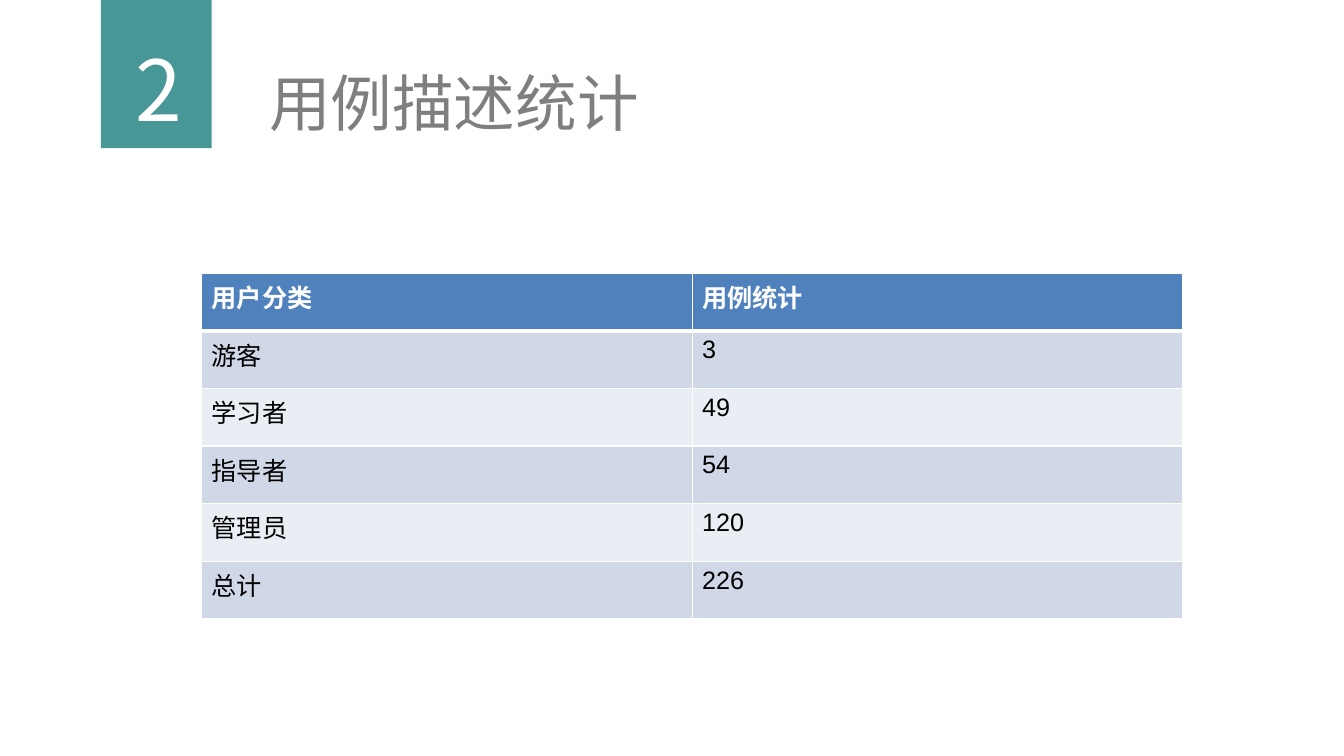
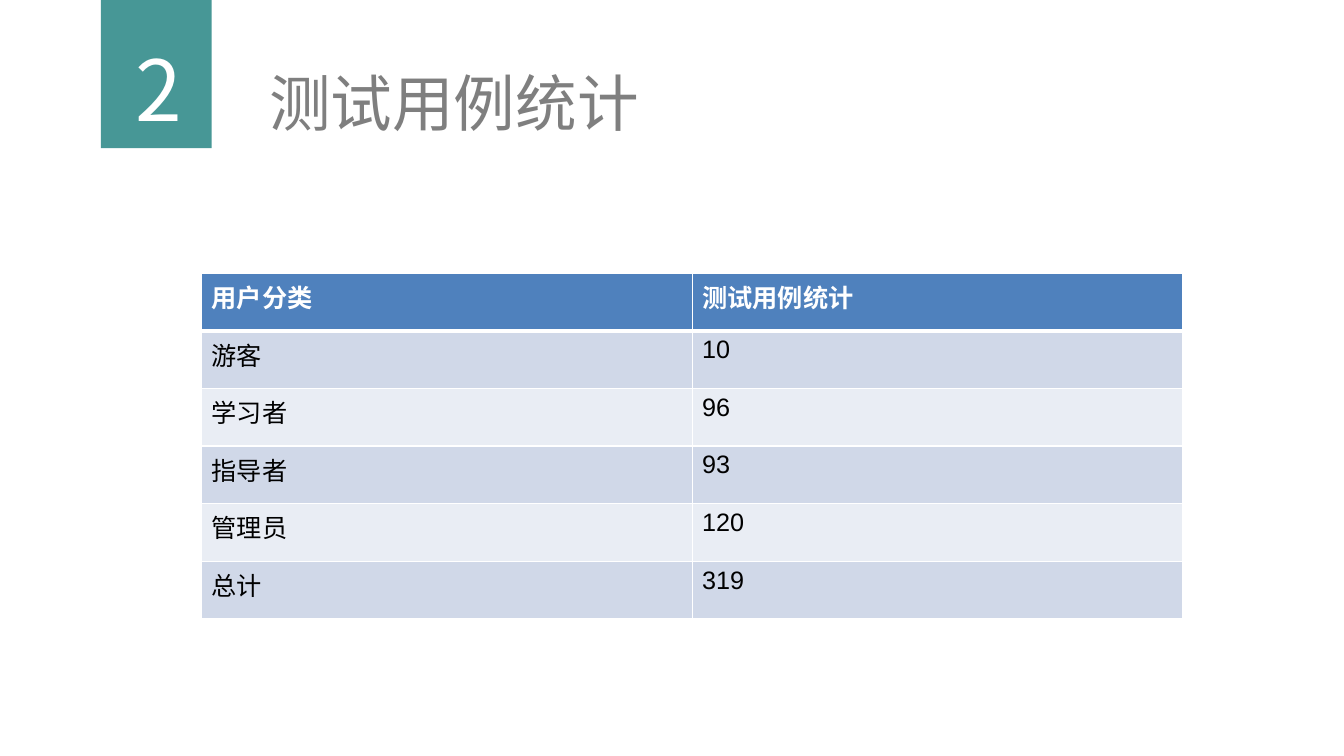
"""Build two slides that tabulate use case and test case counts per user type."""
import dataclasses

import lxml.etree
import pptx
import pptx.dml.color
import pptx.enum.shapes
import pptx.enum.text
import pptx.oxml.ns
import pptx.util

SLIDE_W, SLIDE_H = pptx.util.Emu(12192000), pptx.util.Emu(6858000)
TITLE_ONLY = 5
TEAL, GREY, WHITE, BLACK = "479796", "7F7F7F", "FFFFFF", "000000"
HEADER_FILL, BAND_FILLS = "4F81BD", ("D0D8E8", "E9EDF4")
CJK = "Noto Sans CJK SC"
NUMBER_FORMAT = {"size": pptx.util.Pt(60), "name": "Noto Sans CJK KR"}
TITLE_FORMAT = {"size": pptx.util.Pt(44), "name": CJK}
HEADER_FORMAT = {"size": pptx.util.Pt(18), "name": "Arial", "bold": True}
BODY_FORMAT = HEADER_FORMAT | {"bold": False}
USERS = ("游客", "学习者", "指导者", "管理员", "总计")


@dataclasses.dataclass(frozen=True)
class Area:
    """A rectangle in percent of the slide's width and height."""
    left: float
    top: float
    width: float
    height: float

    def emu(self) -> tuple[int, int, int, int]:
        return (round(SLIDE_W * self.left / 100), round(SLIDE_H * self.top / 100),
                round(SLIDE_W * self.width / 100), round(SLIDE_H * self.height / 100))


@dataclasses.dataclass(frozen=True)
class StatSlide:
    """The wording and counts of one slide."""
    number: str
    title: str
    heading: str
    counts: tuple[int, ...]


TAB_AREA = Area(7.5, 0, 8.25, 19.6)
NUMBER_AREA = Area(7.73, 4.27, 8.25, 14.8)
TITLE_AREA = Area(19.28, 7.87, 52, 11.2)
TABLE_AREA = Area(15, 36.13, 73, 45.75)

SLIDES = (
    StatSlide("2", "用例描述统计", "用例统计", (3, 49, 54, 120, 226)),
    StatSlide("2", "测试用例统计", "测试用例统计", (10, 96, 93, 120, 319)),
)


def rgb(value: str) -> pptx.dml.color.RGBColor:
    return pptx.dml.color.RGBColor.from_string(value)


def write(tf, text: str, color: str, formats: dict, align=None) -> None:
    p = tf.paragraphs[0]
    p.alignment = align
    r = p.add_run()
    r.text = text
    for name, value in formats.items():
        setattr(r.font, name, value)
    r.font.color.rgb = rgb(color)
    east_asian = CJK if formats["name"] == "Arial" else formats["name"]
    lxml.etree.SubElement(r.font._element, pptx.oxml.ns.qn("a:ea"), typeface=east_asian)


def fit_frame(tf) -> None:
    tf.word_wrap = True
    tf.vertical_anchor = pptx.enum.text.MSO_ANCHOR.TOP
    tf.auto_size = pptx.enum.text.MSO_AUTO_SIZE.SHAPE_TO_FIT_TEXT


def add_header(s, stat: StatSlide) -> None:
    tab = s.shapes.add_shape(pptx.enum.shapes.MSO_SHAPE.RECTANGLE, *TAB_AREA.emu())
    tab.shadow.inherit = False
    tab.fill.solid()
    tab.fill.fore_color.rgb = rgb(TEAL)
    tab.line.fill.background()

    number = s.shapes.add_textbox(*NUMBER_AREA.emu())
    fit_frame(number.text_frame)
    write(number.text_frame, stat.number, WHITE, NUMBER_FORMAT,
          pptx.enum.text.PP_ALIGN.CENTER)

    title = s.shapes.title
    title.left, title.top, title.width, title.height = TITLE_AREA.emu()
    fit_frame(title.text_frame)
    write(title.text_frame, stat.title, GREY, TITLE_FORMAT,
          pptx.enum.text.PP_ALIGN.LEFT)


def set_borders(cell, widths: dict[str, int]) -> None:
    qn = pptx.oxml.ns.qn
    tc_pr = cell._tc.get_or_add_tcPr()
    for i, (side, points) in enumerate(widths.items()):
        ln = lxml.etree.Element(qn(f"a:ln{side}"), w=str(pptx.util.Pt(points)))
        fill = lxml.etree.SubElement(ln, qn("a:solidFill"))
        lxml.etree.SubElement(fill, qn("a:srgbClr"), val=WHITE)
        tc_pr.insert(i, ln)


def add_stat_table(s, stat: StatSlide) -> None:
    rows = [("用户分类", stat.heading), *zip(USERS, map(str, stat.counts))]
    table = s.shapes.add_table(len(rows), 2, *TABLE_AREA.emu()).table
    for i, row in enumerate(rows):
        header = i == 0
        fill = HEADER_FILL if header else BAND_FILLS[(i - 1) % 2]
        borders = {"L": 1, "R": 1, "T": 3 if i == 1 else 1, "B": 3 if header else 1}
        for j, text in enumerate(row):
            cell = table.cell(i, j)
            cell.fill.solid()
            cell.fill.fore_color.rgb = rgb(fill)
            set_borders(cell, borders)
            write(cell.text_frame, text, WHITE if header else BLACK,
                  HEADER_FORMAT if header else BODY_FORMAT)


def main() -> None:
    prs = pptx.Presentation()
    prs.slide_width, prs.slide_height = SLIDE_W, SLIDE_H
    for stat in SLIDES:
        s = prs.slides.add_slide(prs.slide_layouts[TITLE_ONLY])
        add_header(s, stat)
        add_stat_table(s, stat)
    prs.save("out.pptx")


if __name__ == "__main__":
    main()
